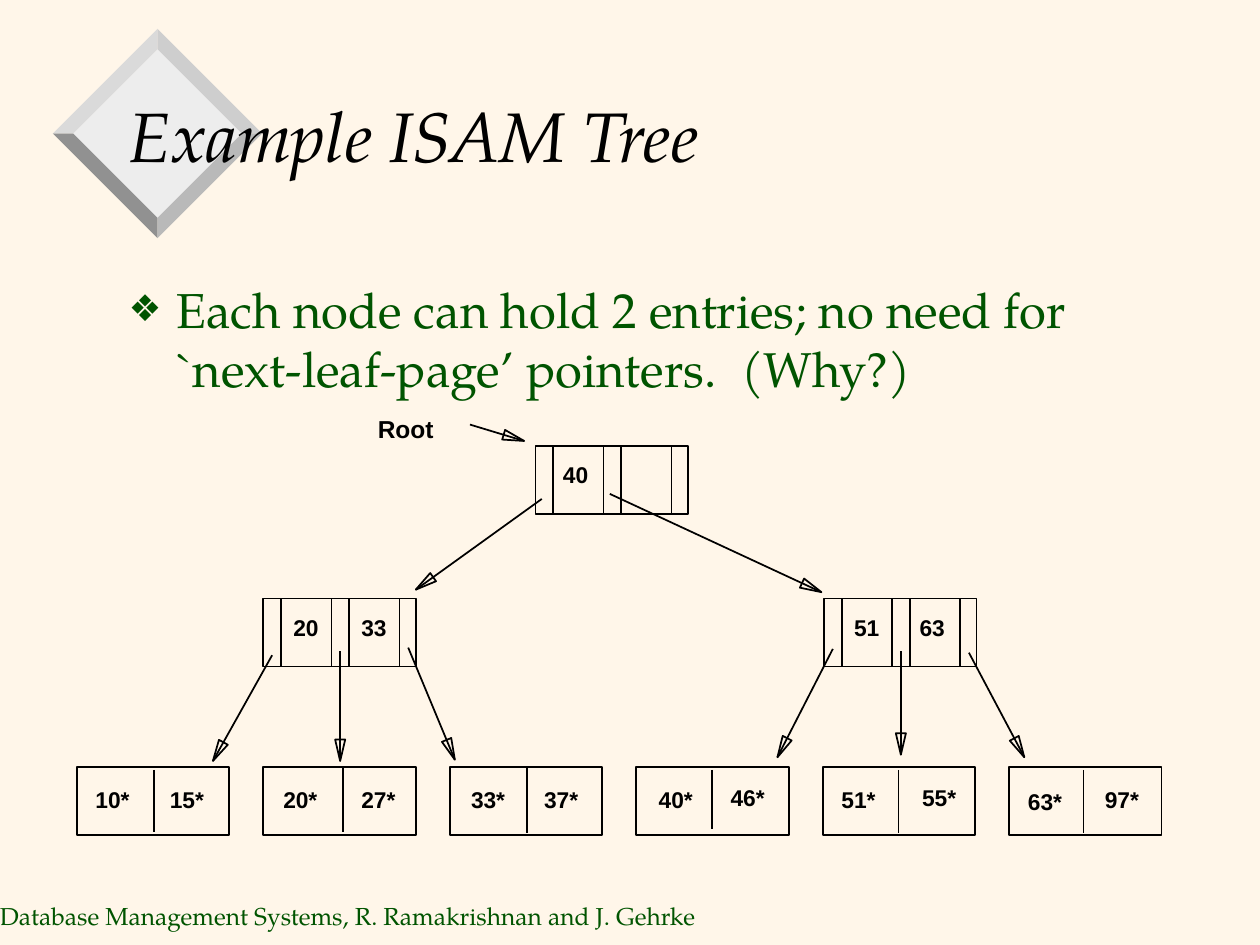
"""Build the slide that shows an example ISAM tree."""
import math
from lxml import etree
from pptx import Presentation
from pptx.dml.color import RGBColor
from pptx.enum import shapes, text
from pptx.oxml import ns
from pptx.util import Inches, Pt

colour = RGBColor.from_string
BLACK, GREEN = "000000", "005400"
SERIF, SANS = "TeX Gyre Pagella", "Arial"


def write(frame, words, size, font=SANS, color=BLACK, bold=False, italic=False,
          anchor=text.MSO_ANCHOR.TOP, wrap=False, bullet=None):
    frame.word_wrap = wrap
    frame.auto_size = text.MSO_AUTO_SIZE.NONE if wrap else text.MSO_AUTO_SIZE.SHAPE_TO_FIT_TEXT
    frame.vertical_anchor = anchor
    frame.text = words
    paragraph = frame.paragraphs[0]
    paragraph.alignment = text.PP_ALIGN.LEFT
    paragraph.space_before = Pt(0)
    if bullet:
        props = paragraph._p.get_or_add_pPr()
        props.set("marL", str(Inches(0.38)))
        props.set("indent", str(-Inches(0.38)))
        tint = etree.SubElement(props, ns.qn("a:buClr"))
        etree.SubElement(tint, ns.qn("a:srgbClr"), val=color)
        etree.SubElement(props, ns.qn("a:buSzPct"), val="75000")
        etree.SubElement(props, ns.qn("a:buChar"), char=bullet)
    run = paragraph.runs[0].font
    run.name, run.size, run.bold, run.italic = font, Pt(size), bold, italic
    run.color.rgb = colour(color)


def polygon(points, fill=None):
    corners = [(Inches(x), Inches(y)) for x, y in points]
    builder = slide.shapes.build_freeform(*corners[0], scale=1.0)
    builder.add_line_segments(corners[1:], close=True)
    outline = builder.convert_to_shape()
    outline.shadow.inherit = False
    if fill:
        outline.fill.solid()
        outline.fill.fore_color.rgb = colour(fill)
        outline.line.fill.background()
    else:
        outline.fill.background()
        outline.line.color.rgb = colour(BLACK)
        outline.line.width = Pt(1)


deck = Presentation()
deck.slide_width, deck.slide_height = Inches(10), Inches(7.5)
slide = deck.slides.add_slide(deck.slide_layouts[1])
slide.background.fill.solid()
slide.background.fill.fore_color.rgb = colour("FFF6E9")

directions = [(0, -1), (1, 0), (0, 1), (-1, 0)]
inner, outer = [[(1.25 + reach * dx, 1.06 + reach * dy) for dx, dy in directions]
                for reach in (0.67, 0.83)]
polygon(inner, "EDEDED")
for side, shade in enumerate(["CECECE", "B9B9B9", "919191", "DADADA"]):
    following = (side + 1) % 4
    polygon([inner[side], outer[side], outer[following], inner[following]], shade)

title, body = slide.placeholders
for holder, top, height in [(title, 0.46, 1.21), (body, 2.17, 4.46)]:
    holder.left, holder.top = Inches(0.92), Inches(top)
    holder.width, holder.height = Inches(8.5), Inches(height)
    slide.shapes._spTree.append(holder._element)
write(title.text_frame, "Example ISAM Tree", 40, font=SERIF, italic=True,
      anchor=text.MSO_ANCHOR.MIDDLE, wrap=True)
write(body.text_frame,
      "Each node can hold 2 entries; no need for `next-leaf-page’ pointers.  (Why?)",
      28, font=SERIF, color=GREEN, wrap=True, bullet="❖")

footer = slide.shapes.add_textbox(Inches(-0.1), Inches(7.1), Inches(6.12), Inches(0.33))
write(footer.text_frame, "Database Management Systems, R. Ramakrishnan and J. Gehrke", 14,
      font=SERIF, color=GREEN, anchor=text.MSO_ANCHOR.MIDDLE)

index_nodes = [(4.25, 3.54), (2.09, 4.75), (6.54, 4.75)]
leaves = [(0.61 + 1.48 * column, 6.09) for column in range(6)]
for left, top in index_nodes + leaves:
    node = slide.shapes.add_shape(shapes.MSO_SHAPE.RECTANGLE, Inches(left), Inches(top),
                                  Inches(1.21), Inches(0.54))
    node.shadow.inherit = False
    node.fill.background()
    node.line.color.rgb = colour(BLACK)
    node.line.width = Pt(1)

index_dividers = [(left + offset, top, left + offset, top + 0.54)
                  for left, top in index_nodes for offset in (0.14, 0.54, 0.68, 1.08)]
leaf_dividers = [(x, top, x, bottom) for x, top, bottom in [
    (1.22, 6.11, 6.6), (2.72, 6.09, 6.6), (4.18, 6.09, 6.61),
    (5.65, 6.11, 6.58), (7.13, 6.11, 6.61), (8.6, 6.11, 6.61)]]
pointers = [
    (3.73, 3.37, 4.16, 3.5), (4.3, 3.96, 3.3, 4.68), (4.84, 3.92, 6.52, 4.7),
    (2.16, 5.2, 1.69, 6.04), (2.7, 5.17, 2.7, 6.04), (3.24, 5.14, 3.61, 6.03),
    (6.61, 5.15, 6.17, 6.01), (7.15, 5.17, 7.15, 5.99), (7.69, 5.18, 8.13, 6.01)]
for ends in index_dividers + leaf_dividers + pointers:
    stroke = slide.shapes.add_connector(shapes.MSO_CONNECTOR.STRAIGHT, *map(Inches, ends))
    stroke.line.color.rgb = colour(BLACK)
    stroke.line.width = Pt(1)
    etree.SubElement(stroke._element.spPr, ns.qn("a:effectLst"))

for x1, y1, x2, y2 in pointers:
    reach = math.hypot(x2 - x1, y2 - y1)
    dx, dy = (x2 - x1) / reach, (y2 - y1) / reach
    base_x, base_y = x2 - 0.17 * dx, y2 - 0.17 * dy
    polygon([(x2, y2), (base_x - 0.04 * dy, base_y + 0.04 * dx),
             (base_x + 0.04 * dy, base_y - 0.04 * dx)])

labels = [
    ("10*", 0.66, 6.19), ("15*", 1.25, 6.19), ("20*", 2.15, 6.19), ("27*", 2.77, 6.19),
    ("33*", 3.64, 6.19), ("37*", 4.22, 6.19), ("40*", 5.13, 6.19), ("46*", 5.7, 6.17),
    ("51*", 6.58, 6.19), ("55*", 7.22, 6.17), ("63*", 8.06, 6.2), ("97*", 8.67, 6.19),
    ("20", 2.23, 4.82), ("33", 2.77, 4.82), ("51", 6.68, 4.82), ("63", 7.2, 4.82),
    ("40", 4.37, 3.61), ("Root", 2.9, 3.24)]
sizes = {2: (0.4, 0.31, 13), 3: (0.47, 0.31, 13), 4: (0.7, 0.33, 14)}
for words, left, top in labels:
    width, height, size = sizes[len(words)]
    label = slide.shapes.add_textbox(Inches(left), Inches(top), Inches(width), Inches(height))
    write(label.text_frame, words, size, bold=True)

deck.save("out.pptx")
